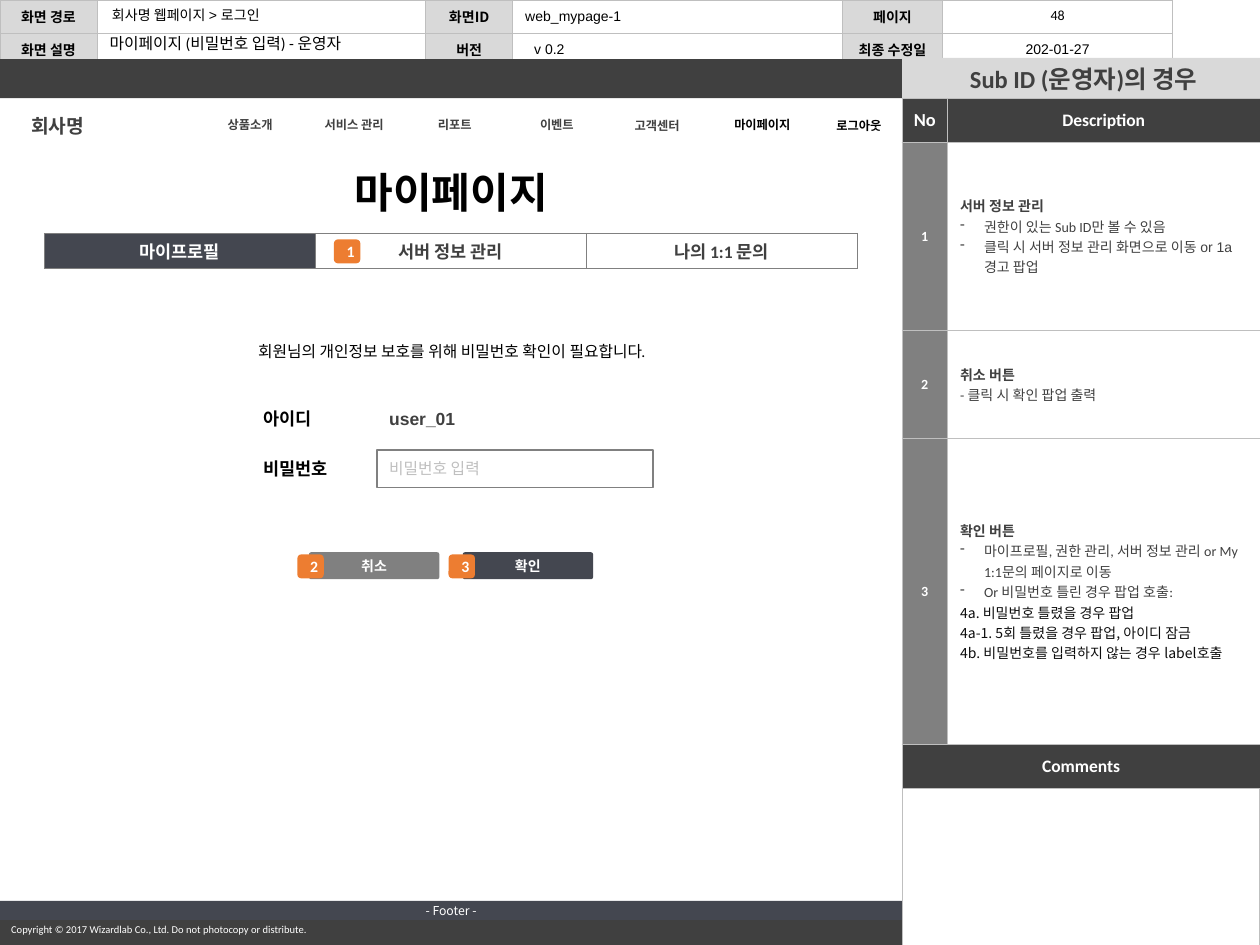
import pptx
import pptx.util
import pptx.dml.color
import pptx.enum.text
import pptx.enum.shapes
import pptx.oxml.ns
from lxml import etree

Inches, Pt = pptx.util.Inches, pptx.util.Pt
RGB = pptx.dml.color.RGBColor.from_string
qn = pptx.oxml.ns.qn
ALIGN = pptx.enum.text.PP_ALIGN
MIDDLE = pptx.enum.text.MSO_ANCHOR.MIDDLE
TOP = pptx.enum.text.MSO_ANCHOR.TOP
SHAPE = pptx.enum.shapes.MSO_SHAPE
NOTO = "Noto Sans CJK KR"
C = {"white": "FFFFFF", "black": "000000", "dark": "404040", "slate": "444750",
     "gray": "808080", "rule": "BFBFBF", "label": "D9D9D9", "orange": "ED7D31",
     "ink": "0D0D0D"}

prs = pptx.Presentation()
prs.slide_width, prs.slide_height = Inches(10), Inches(7.5)
s = prs.slides.add_slide(prs.slide_layouts[5])


def write(tf, text, size, color, bold=False, align="c", font="Calibri"):
    tf.text = text
    for p in tf.paragraphs:
        p.alignment = ALIGN.CENTER if align == "c" else ALIGN.LEFT
        if not p.runs:
            etree.SubElement(p._p, qn("a:endParaRPr"), sz=str(int(size * 100)))
        for r in p.runs:
            r.font.size, r.font.bold, r.font.name = Pt(size), bold, font
            r.font.color.rgb = RGB(C[color])
            etree.SubElement(r._r.get_or_add_rPr(), qn("a:ea"), typeface=NOTO)


def add_grid(left, top, cols, rows, border, width, margins):
    frame = s.shapes.add_table(len(rows), len(cols), Inches(left), Inches(top),
                               Inches(sum(cols)), Inches(sum(rows)))
    tbl = frame.table
    tbl.first_row = tbl.horz_banding = False
    for col, w in zip(tbl.columns, cols):
        col.width = Inches(w)
    for row, h in zip(tbl.rows, rows):
        row.height = Inches(h)
    for cell in tbl.iter_cells():
        cell.vertical_anchor = MIDDLE
        cell.margin_left = cell.margin_right = Inches(margins[0])
        cell.margin_top = cell.margin_bottom = Inches(margins[1])
        tcPr = cell._tc.get_or_add_tcPr()
        for side in ("a:lnL", "a:lnR", "a:lnT", "a:lnB"):
            ln = etree.SubElement(tcPr, qn(side), w=str(Pt(width)))
            fill = etree.SubElement(ln, qn("a:solidFill"))
            etree.SubElement(fill, qn("a:srgbClr"), val=C[border])
        cell.fill.background()
    return tbl


title = s.shapes.title
title.left, title.top = Inches(0.77), Inches(0.24)
title.width, title.height = Inches(2.61), Inches(0.23)
write(title.text_frame, "마이페이지 (비밀번호 입력) - 운영자", 9, "black", align="l")
title.text_frame.vertical_anchor = MIDDLE
title.text_frame.paragraphs[0].line_spacing = 0.9

header = [["화면 경로", "", "화면ID", "", "페이지", ""],
          ["화면 설명", "", "버전", "v 0.2", "최종 수정일", "202-01-27"]]
tbl = add_grid(0, 0, [0.77, 2.61, 0.69, 2.62, 0.79, 1.83], [0.2, 0.2],
               "rule", 0.5, (0.07, 0.05))
for i, row in enumerate(header):
    for j, text in enumerate(row):
        is_label = j % 2 == 0
        cell = tbl.cell(i, j)
        write(cell.text_frame, text, 8, "black", is_label, "l" if j == 3 else "c",
              NOTO if text == "화면ID" else "Arial")
        if is_label:
            cell.fill.solid()
            cell.fill.fore_color.rgb = RGB(C["label"])
tbl.cell(1, 3).margin_left = Inches(0.17)

panels = [
    (0, 0.47, 10, 0.31, "dark", None, 0),
    (0, 7.3, 10, 0.2, "dark", None, 0),
    (7.16, 5.91, 2.84, 1.59, "white", "rule", 0.5),
    (0, 7.15, 7.16, 0.15, "slate", None, 0, "- Footer -", 7, "white", False, "c", NOTO),
    (3.68, 4.39, 1.02, 0.2, "slate", "slate", 1, "확인", 8, "white", True),
    (2.46, 4.39, 1.02, 0.2, "gray", "gray", 1, "취소", 8, "white", True),
    (2.99, 3.57, 2.19, 0.3, "white", "gray", 1, "비밀번호 입력", 9, "rule", False, "l", "Arial"),
    (2.99, 3.17, 2.19, 0.3, "white", None, 0, "user_01", 10, "dark", True, "l", "Arial"),
    (0, 0.79, 7.16, 0.39, "white", None, 0),
    (7.16, 0.46, 2.84, 0.33, "label", None, 0, " Sub ID (운영자)의 경우", 14, "dark", True),
]
for x, y, w, h, fill, line, weight, *text in panels:
    is_button = y == 4.39
    sp = s.shapes.add_shape(SHAPE.ROUNDED_RECTANGLE if is_button else SHAPE.RECTANGLE,
                            Inches(x), Inches(y), Inches(w), Inches(h))
    sp.shadow.inherit = False
    if is_button:
        sp.adjustments[0] = 0.05
    sp.fill.solid()
    sp.fill.fore_color.rgb = RGB(C[fill])
    if line:
        sp.line.color.rgb = RGB(C[line])
        sp.line.width = Pt(weight)
    else:
        sp.line.fill.background()
    if text:
        write(sp.text_frame, *text)
        sp.text_frame.vertical_anchor = MIDDLE

divider = s.shapes.add_connector(pptx.enum.shapes.MSO_CONNECTOR.STRAIGHT, Inches(7.16),
                                 Inches(0.78), Inches(7.16), Inches(7.5))
divider.line.color.rgb = RGB(C["rule"])
divider.line.width = Pt(0.5)
etree.SubElement(divider._element.spPr, qn("a:effectLst"))

bands = [
    (7.16, 0.78, [0.36, 2.48], 0.35, "rule", 0.5, (0.07, 0.05),
     [("No", 10.5, "white", "dark"), ("Description", 10, "white", "dark")]),
    (7.16, 5.91, [2.84], 0.35, "rule", 0.5, (0.07, 0.05), [("Comments", 10, "white", "dark")]),
    (0.35, 1.85, [2.15] * 3, 0.27, "gray", 0.25, (0, 0.04),
     [("마이프로필", 10, "white", "slate"), ("서버 정보 관리", 10, "dark", "white"),
      ("나의 1:1 문의", 10, "dark", "white")]),
]
for x, y, cols, h, border, weight, margins, cells in bands:
    tbl = add_grid(x, y, cols, [h], border, weight, margins)
    for cell, (text, size, color, fill) in zip(tbl.iter_cells(), cells):
        write(cell.text_frame, text, size, color, True)
        cell.fill.solid()
        cell.fill.fore_color.rgb = RGB(C[fill])

descriptions = [
    ["서버 정보 관리", "• 권한이 있는 Sub ID만 볼 수 있음",
     "• 클릭 시 서버 정보 관리 화면으로 이동 or 1a 경고 팝업"],
    ["취소 버튼", "- 클릭 시 확인 팝업 출력"],
    ["확인 버튼", "• 마이프로필, 권한 관리, 서버 정보 관리 or My 1:1문의 페이지로 이동",
     "• Or 비밀번호 틀린 경우 팝업 호출:", "4a. 비밀번호 틀렸을 경우 팝업",
     "4a-1. 5회 틀렸을 경우 팝업, 아이디 잠금",
     "4b. 비밀번호를 입력하지 않는 경우 label호출"],
]
tbl = add_grid(7.16, 1.13, [0.36, 2.48], [1.49, 0.86, 2.43], "rule", 0.5, (0.1, 0.05))
for i, lines in enumerate(descriptions):
    number, body = tbl.cell(i, 0), tbl.cell(i, 1)
    write(number.text_frame, str(i + 1), 8, "white", True)
    write(body.text_frame, "\n".join(t.removeprefix("• ") for t in lines), 8, "dark", align="l")
    for cell, fill in ((number, "gray"), (body, "white")):
        cell.fill.solid()
        cell.fill.fore_color.rgb = RGB(C[fill])
    for p, line in zip(body.text_frame.paragraphs, lines):
        font = p.runs[0].font
        font.bold = line == lines[0]
        if line.startswith("4"):
            font.name, font.color.rgb = NOTO, RGB(C["ink"])
        if "1a" in line:
            font.name = "Arial"
        if line.startswith("• "):
            pPr = p._p.get_or_add_pPr()
            pPr.set("marL", str(Inches(0.19)))
            pPr.set("indent", str(-Inches(0.19)))
            etree.SubElement(pPr, qn("a:buChar"), char="-")

labels = [
    (-0.01, 7.28, 2.95, 0.2, TOP,
     "Copyright © 2017 Wizardlab Co., Ltd. Do not photocopy or distribute.", 6, "white", False, "l"),
    (7.58, 0, 1.63, 0.24, TOP, "48", 8, "black"),
    (0.79, 0, 2.59, 0.24, TOP, "회사명 웹페이지 > 로그인", 8, "black", False, "l", "Arial"),
    (4.07, 0.01, 2.62, 0.23, MIDDLE, "web_mypage-1", 8, "black", False, "l", "Arial"),
    (1.99, 3.58, 0.76, 0.27, MIDDLE, "비밀번호", 10, "black", True, "l", "Arial"),
    (1.99, 3.19, 0.62, 0.27, MIDDLE, "아이디", 10, "black", True, "l", "Arial"),
    (1.82, 2.66, 3.53, 0.25, TOP, "회원님의 개인정보 보호를 위해 비밀번호 확인이 필요합니다.", 9, "black"),
    (0.13, 0.85, 0.66, 0.29, MIDDLE, "회사명", 11, "dark", True),
    (1.69, 0.88, 0.59, 0.22, MIDDLE, "상품소개", 7, "dark", True),
    (2.45, 0.88, 0.72, 0.22, MIDDLE, "서비스 관리", 7, "dark", True),
    (3.36, 0.88, 0.5, 0.22, MIDDLE, "리포트", 7, "dark", True),
    (4.17, 0.88, 0.5, 0.22, MIDDLE, "이벤트", 7, "dark", True),
    (4.92, 0.89, 0.59, 0.22, MIDDLE, "고객센터", 7, "dark", True),
    (5.69, 0.88, 0.72, 0.22, MIDDLE, "마이페이지", 7, "black", True),
    (6.54, 0.89, 0.59, 0.22, TOP, "로그아웃", 7, "black", True, "l"),
    (2.64, 1.27, 1.88, 0.5, TOP, "마이페이지", 24, "black", True),
]
for x, y, w, h, anchor, *text in labels:
    tf = s.shapes.add_textbox(Inches(x), Inches(y), Inches(w), Inches(h)).text_frame
    tf.word_wrap = y < 0.1
    tf.vertical_anchor = anchor
    write(tf, *text)

for i, (x, y) in enumerate([(2.65, 1.9), (2.36, 4.4), (3.56, 4.4)], 1):
    badge = s.shapes.add_shape(SHAPE.ROUNDED_RECTANGLE, Inches(x), Inches(y),
                               Inches(0.21), Inches(0.19))
    badge.shadow.inherit = False
    badge.fill.solid()
    badge.fill.fore_color.rgb = RGB(C["orange"])
    badge.line.fill.background()
    write(badge.text_frame, str(i), 9, "white", True)
    badge.text_frame.vertical_anchor = MIDDLE

prs.save("out.pptx")
